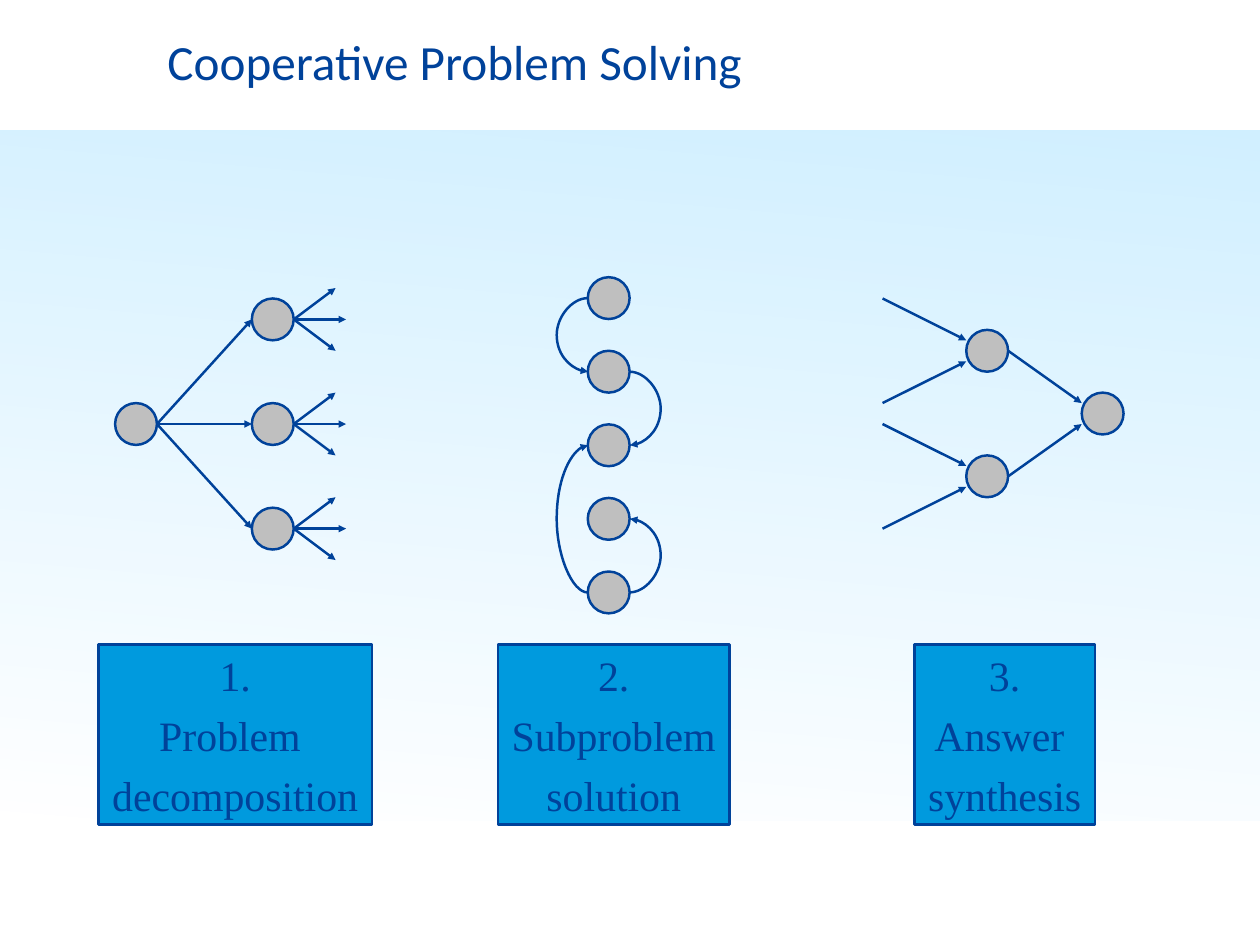
import pptx
import pptx.util
import pptx.dml.color
import pptx.enum.shapes
import pptx.enum.text
import pptx.oxml
import pptx.oxml.ns
import lxml.etree

Cm, Pt = pptx.util.Cm, pptx.util.Pt
SHAPE = pptx.enum.shapes.MSO_SHAPE
LINK = pptx.enum.shapes.MSO_CONNECTOR
TEXT = pptx.enum.text
NAVY, GREY, BLUE, SKY, WHITE = "00429A", "BFBFBF", "009ADE", "66CCFF", "FFFFFF"
NODE = 1.2
LEFT, RIGHT = 2, 6


def color(code):
    """Turn a hex string into a colour."""
    return pptx.dml.color.RGBColor.from_string(code)


def child(host, tag, **attrs):
    """Append an XML element with the given attributes."""
    part = lxml.etree.SubElement(host, pptx.oxml.ns.qn(tag))
    for key, value in attrs.items():
        part.set(key, str(value))
    return part


def shape(slide, kind, box, fill=None, line=None):
    """Add a preset shape in a box of centimetres."""
    item = slide.shapes.add_shape(kind, *map(Cm, box))
    item.shadow.inherit = False
    if fill:
        item.fill.solid()
        item.fill.fore_color.rgb = color(fill)
    if line:
        item.line.color.rgb = color(line)
        item.line.width = Pt(2)
    else:
        item.line.fill.background()
    return item


def node(slide, left, mid):
    """Add a grey circle by its left edge and middle height."""
    return shape(slide, SHAPE.OVAL, (left, mid - NODE / 2, NODE, NODE), GREY, NAVY)


def arrow(slide, start, end, kind=LINK.STRAIGHT):
    """Draw a navy arrow between two points."""
    item = slide.shapes.add_connector(kind, *map(Cm, (*start, *end)))
    item.line.color.rgb = color(NAVY)
    item.line.width = Pt(2)
    child(item.line._get_or_add_ln(), "a:tailEnd", type="triangle")
    child(item._element.spPr, "a:effectLst")
    return item


def curve(slide, first, last, side):
    """Bend an arrow from one circle to another round one side."""
    thin, bulge = 0.01, 0.89
    x = first.left.cm + (NODE if side == RIGHT else 0)
    y, y2 = (n.top.cm + NODE / 2 for n in (first, last))
    ratio = round(bulge / thin * 100000)
    if side == RIGHT:
        item = arrow(slide, (x, y), (x + thin, y2), LINK.CURVE)
    else:
        item = arrow(slide, (x + thin, y2), (x, y), LINK.CURVE)
        item._element.spPr.find(pptx.oxml.ns.qn("a:xfrm")).set("rot", "10800000")
        ratio = -ratio
    geom = item._element.spPr.find(pptx.oxml.ns.qn("a:prstGeom"))
    guides = geom.find(pptx.oxml.ns.qn("a:avLst"))
    if guides is None:
        guides = child(geom, "a:avLst")
    child(guides, "a:gd", name="adj1", fmla=f"val {ratio}")
    ends = item._element.nvCxnSpPr.cNvCxnSpPr
    child(ends, "a:stCxn", id=first.shape_id, idx=side)
    child(ends, "a:endCxn", id=last.shape_id, idx=side)


def split(slide, left, mid):
    """Draw one problem that divides into three and then into nine."""
    node(slide, left, mid)
    kids = left + 3.92
    for step in (-3, 0, 3):
        y = mid + step
        node(slide, kids, y)
        arrow(slide, (left + NODE, mid), (kids, y))
        tip = kids + NODE
        for dx, dy in ((1.2, -0.9), (1.5, 0), (1.2, 0.9)):
            arrow(slide, (tip, y), (tip + dx, y + dy))


def solve(slide, left, top):
    """Draw five stacked circles that exchange results."""
    nodes = [node(slide, left, top + 2.11 * i) for i in range(5)]
    for a, b, side in ((0, 1, LEFT), (1, 2, RIGHT), (4, 3, RIGHT), (4, 2, LEFT)):
        curve(slide, nodes[a], nodes[b], side)


def merge(slide, left, mid):
    """Draw four answers that join into two and then into one."""
    pair, root = left + 2.4, left + 5.71
    node(slide, root, mid)
    for sign in (-1, 1):
        y = mid + sign * 1.8
        node(slide, pair, y)
        for way in (-1, 1):
            arrow(slide, (left, y + way * 1.5), (pair, y + way * 0.3))
        arrow(slide, (pair + NODE, y), (root, mid + sign * 0.3))


def label(slide, left, width, lines):
    """Add a blue box that names one phase."""
    item = shape(slide, SHAPE.RECTANGLE, (left, 18.49, width, 5.16), BLUE, NAVY)
    frame = item.text_frame
    frame.word_wrap = False
    frame.vertical_anchor = TEXT.MSO_ANCHOR.MIDDLE
    frame.margin_left = frame.margin_right = Cm(0.36)
    frame.margin_top = frame.margin_bottom = Cm(0.18)
    frame.text = "\n".join(lines)
    for i, para in enumerate(frame.paragraphs):
        para.alignment = TEXT.PP_ALIGN.CENTER
        para.space_before = Pt(8 if i else 0)
        para.font.size = Pt(34)
        para.font.name = "Times New Roman"
        para.font.color.rgb = color(NAVY)


def back(slide):
    """Lay the pale gradient and the white foot strip behind the rest."""
    sky = shape(slide, SHAPE.RECTANGLE, (0, 3.73, 36.12, 19.81))
    sky.fill.gradient()
    sky.fill.gradient_angle = 265
    for stop, place, code in zip(sky.fill.gradient_stops, (0, 1), (SKY, WHITE)):
        stop.position = place
        stop.color.rgb = color(code)
    for tint in sky._element.spPr.iter(pptx.oxml.ns.qn("a:srgbClr")):
        child(tint, "a:alpha", val=30000)
    foot = shape(slide, SHAPE.RECTANGLE, (1.02, 23.83, 33.96, 2.24), WHITE)
    for item in (foot, sky):
        slide.shapes._spTree.insert(2, item._element)


def head(slide, text):
    """Fill and place the title."""
    title = slide.shapes.title
    title.left, title.top, title.width, title.height = map(Cm, (4.65, 0.74, 29.29, 4.19))
    frame = title.text_frame
    frame.text = text
    frame.word_wrap = True
    frame.vertical_anchor = TEXT.MSO_ANCHOR.TOP
    frame.margin_left = frame.margin_right = Cm(0.15)
    frame.margin_top = frame.margin_bottom = Cm(0.15)
    para = frame.paragraphs[0]
    para.alignment = TEXT.PP_ALIGN.LEFT
    para.font.size = Pt(40)
    para.font.name = "Calibri"
    para.font.color.rgb = color(NAVY)


def main():
    """Build the slide and save it."""
    deck = pptx.Presentation()
    deck.slide_width, deck.slide_height = Cm(36.12), Cm(27.1)
    slide = deck.slides.add_slide(deck.slide_layouts[5])
    back(slide)
    head(slide, "Cooperative Problem Solving")
    split(slide, 3.3, 12.16)
    solve(slide, 16.85, 8.55)
    merge(slide, 25.3, 11.86)
    label(slide, 2.82, 7.85, ("1.", "Problem ", "decomposition"))
    label(slide, 14.27, 6.65, ("2.", "Subproblem", "solution"))
    label(slide, 26.21, 5.18, ("3.", "Answer ", "synthesis"))
    deck.save("out.pptx")


if __name__ == "__main__":
    main()
